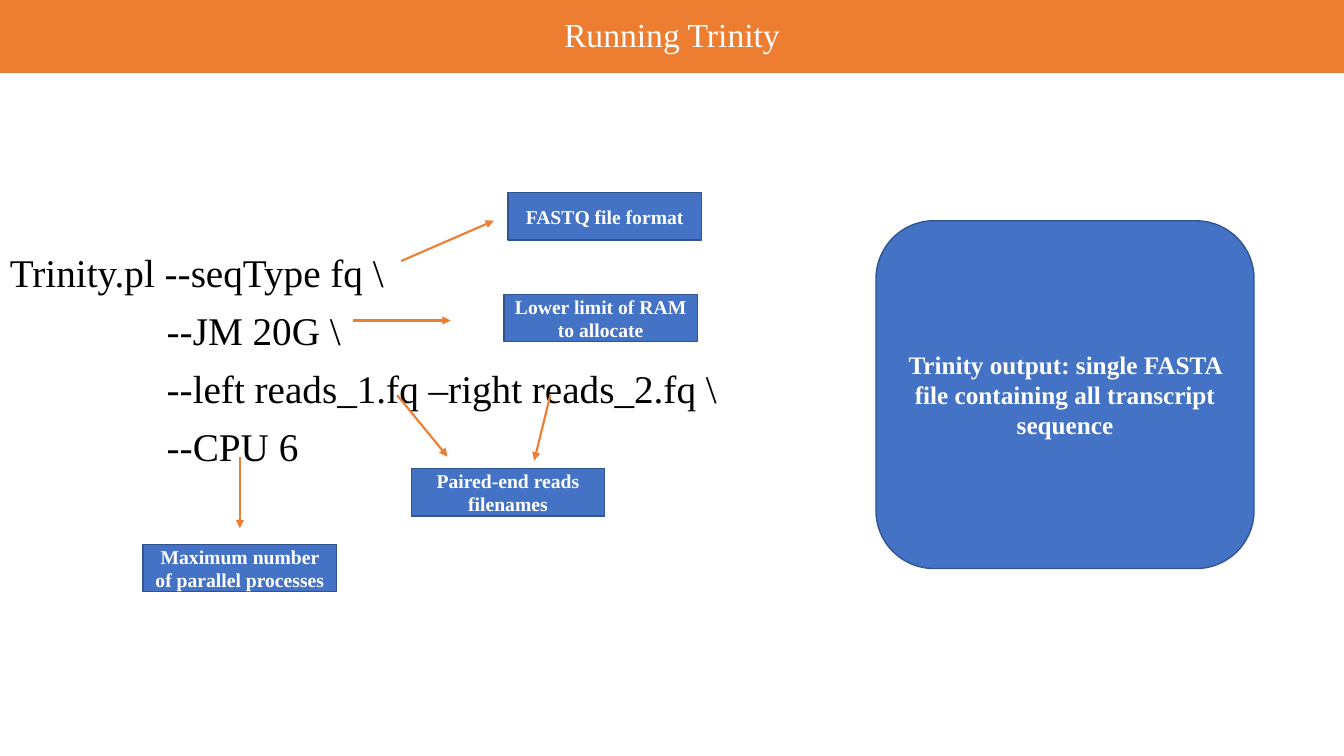
"""Builds the slide that explains the options of a Trinity run."""
import pptx
import pptx.util
import pptx.dml.color
import pptx.enum.shapes
import pptx.enum.text
import pptx.oxml.ns
import lxml.etree

Pt, Inches = pptx.util.Pt, pptx.util.Inches
kinds = pptx.enum.shapes.MSO_SHAPE
middle = pptx.enum.text.MSO_ANCHOR.MIDDLE
center = pptx.enum.text.PP_ALIGN.CENTER
qn = pptx.oxml.ns.qn
hues = {
    name: pptx.dml.color.RGBColor.from_string(code)
    for name, code in {
        "orange": "ED7D31", "blue": "4472C4", "edge": "325491",
        "white": "FFFFFF", "black": "000000",
    }.items()
}

deck = pptx.Presentation()
deck.slide_width, deck.slide_height = Inches(13.33), Inches(7.5)
slide = deck.slides.add_slide(deck.slide_layouts[6])
col, row = deck.slide_width / 100, deck.slide_height / 100


def style(para, size, hue, bold=False):
    """Sets the font of a paragraph."""
    para.font.name = "Times New Roman"
    para.font.size = Pt(size)
    para.font.bold = bold
    para.font.color.rgb = hues[hue]


def panel(kind, spot, fill, edge, text, size, bold):
    """Adds a filled shape with centred text, placed in columns and rows."""
    x, y, wide, high = spot
    shape = slide.shapes.add_shape(
        kind, int(x * col), int(y * row), int(wide * col), int(high * row))
    shape.shadow.inherit = False
    shape.fill.solid()
    shape.fill.fore_color.rgb = hues[fill]
    shape.line.color.rgb = hues[edge]
    shape.line.width = Pt(1)
    frame = shape.text_frame
    frame.word_wrap = True
    frame.vertical_anchor = middle
    para = frame.paragraphs[0]
    para.text = text
    para.alignment = center
    style(para, size, "white", bold)
    return para


head = 9.6
title = panel(kinds.RECTANGLE, (0, 0, 100, head), "orange", "orange",
              "Running Trinity", 24, False)
title.line_spacing = 0.9

body = slide.shapes.add_textbox(
    0, int(head * row), deck.slide_width, int((100 - head) * row)).text_frame
body.word_wrap = True
body.margin_top = int(24 * row)
lines = [
    "Trinity.pl --seqType fq \\",
    "--JM 20G \\",
    "--left reads_1.fq –right reads_2.fq \\",
    "--CPU 6",
]
for rank, text in enumerate(lines):
    para = body.add_paragraph() if rank else body.paragraphs[0]
    para.text = text
    para.line_spacing = 0.9
    style(para, 28, "black")
    if rank:
        para.space_before = Pt(11)
        props = para._p.get_or_add_pPr()
        props.set("marL", str(int(11.67 * col)))
        props.set("indent", "0")

arrows = [
    (29.85, 34.53, 36.75, 29.2),
    (26.25, 42.4, 33.53, 42.4),
    (29.55, 52.27, 33.3, 60.4),
    (40.95, 52.27, 39.75, 60.93),
    (17.85, 60.4, 17.85, 69.87),
]
for x, y, right, low in arrows:
    arrow = slide.shapes.add_connector(
        pptx.enum.shapes.MSO_CONNECTOR.STRAIGHT,
        int(x * col), int(y * row), int(right * col), int(low * row))
    arrow.line.color.rgb = hues["orange"]
    arrow.line.width = Pt(1.5)
    tip = lxml.etree.SubElement(arrow.line._get_or_add_ln(), qn("a:tailEnd"))
    tip.set("type", "triangle")
    lxml.etree.SubElement(arrow._element.spPr, qn("a:effectLst"))

labels = [
    (37.8, 25.47, "FASTQ file format"),
    (37.5, 38.93, "Lower limit of RAM to allocate"),
    (30.6, 62, "Paired-end reads filenames"),
    (10.65, 72, "Maximum number of parallel processes"),
]
for x, y, text in labels:
    panel(kinds.RECTANGLE, (x, y, 14.4, 6.27), "blue", "edge", text, 14, True)

panel(kinds.ROUNDED_RECTANGLE, (65.18, 29.2, 28.13, 46), "blue", "edge",
      "Trinity output: single FASTA file containing all transcript sequence",
      18, True)

deck.save("out.pptx")
